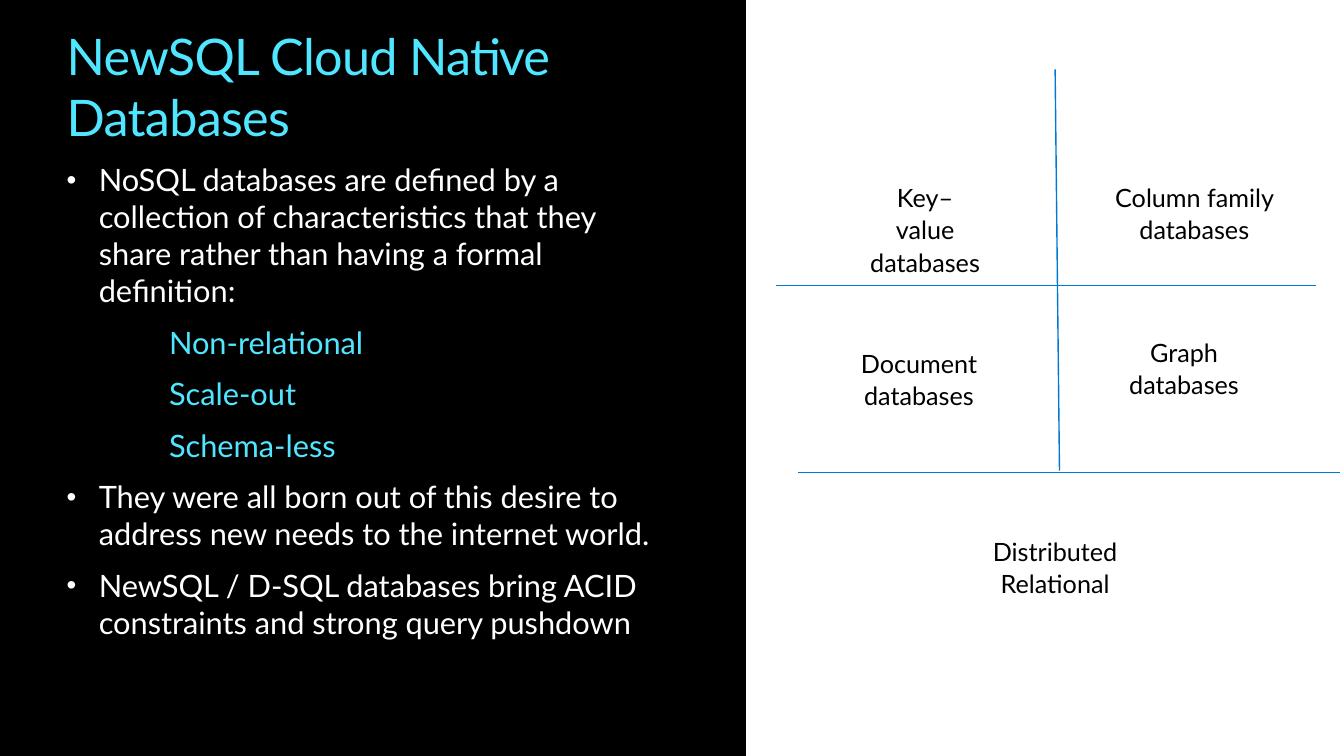
"""Build the NewSQL slide: points on the left, database quadrants on the right."""
from lxml import etree
from pptx import Presentation
from pptx import util as u
from pptx.dml.color import RGBColor
from pptx.enum import shapes, text
from pptx.oxml import ns

BLACK = RGBColor(0x00, 0x00, 0x00)
WHITE = RGBColor(0xFF, 0xFF, 0xFF)
CYAN = RGBColor(0x50, 0xE6, 0xFF)
BLUE = RGBColor(0x00, 0x78, 0xD4)
FONT = "Lato"

POINTS = [
    ("NoSQL databases are defined by a collection of characteristics that "
     "they share rather than having a formal definition:", True),
    ("Non-relational", False),
    ("Scale-out", False),
    ("Schema-less", False),
    ("They were all born out of this desire to address new needs to the "
     "internet world.", True),
    ("NewSQL / D-SQL databases bring ACID constraints and strong query "
     "pushdown", True),
]
LABELS = [
    ("Key–value databases", 21.64, 4.42, 3.35),
    ("Column family databases", 27.74, 4.42, 4.72),
    ("Document databases", 20.8, 8.59, 4.72),
    ("Graph databases", 27.48, 8.31, 4.72),
    ("Distributed Relational", 24.23, 13.34, 4.72),
]
LINES = [
    (26.59, 1.75, 26.7, 11.86),
    (33.17, 7.19, 19.56, 7.19),
    (33.76, 11.91, 20.12, 11.91),
]


def style(par, size, color):
    """Format every run of a paragraph."""
    for run in par.runs:
        run.font.name = FONT
        run.font.size = u.Pt(size)
        run.font.color.rgb = color


def place(shape, left, top, width, height):
    """Move a placeholder and fit its frame to the text."""
    shape.left, shape.top = u.Cm(left), u.Cm(top)
    shape.width, shape.height = u.Cm(width), u.Cm(height)
    frame = shape.text_frame
    frame.margin_left = frame.margin_right = 0
    frame.margin_top = frame.margin_bottom = 0
    frame.vertical_anchor = text.MSO_ANCHOR.TOP
    frame.word_wrap = True
    frame.auto_size = text.MSO_AUTO_SIZE.SHAPE_TO_FIT_TEXT
    return frame


def indent(par, left, first, mark):
    """Set the indent of a paragraph and its bullet, if any."""
    props = par._p.get_or_add_pPr()
    props.set("marL", str(u.Cm(left)))
    props.set("indent", str(u.Cm(first)))
    if mark:
        etree.SubElement(props, ns.qn("a:buSzPct")).set("val", "90000")
        etree.SubElement(props, ns.qn("a:buFont")).set("typeface", "Arial")
        etree.SubElement(props, ns.qn("a:buChar")).set("char", mark)
    else:
        etree.SubElement(props, ns.qn("a:buNone"))


def add_panel(slide):
    """Put the black panel behind the title."""
    panel = slide.shapes.add_shape(
        shapes.MSO_SHAPE.RECTANGLE, 0, 0, u.Cm(18.8), u.Cm(19.05))
    panel.shadow.inherit = False
    panel.fill.solid()
    panel.fill.fore_color.rgb = BLACK
    panel.line.fill.background()
    slide.shapes.title.element.addprevious(panel.element)


def set_title(slide):
    """Fill the title placeholder."""
    frame = place(slide.shapes.title, 1.68, 0.64, 15.65, 3.07)
    frame.text = "NewSQL Cloud Native Databases"
    par = frame.paragraphs[0]
    par.alignment = text.PP_ALIGN.LEFT
    style(par, 36, CYAN)
    par.runs[0].font._element.set("spc", "-50")


def set_body(slide):
    """Fill the body placeholder with points and subpoints."""
    frame = place(slide.placeholders[1], 1.68, 4.06, 15.24, 11.4)
    frame.text = "\n".join(words for words, _ in POINTS)
    for row, (par, (_, main_point)) in enumerate(zip(frame.paragraphs, POINTS)):
        if main_point:
            indent(par, 0.81, -0.81, "•")
        else:
            indent(par, 2.58, 0, None)
        par.space_before = u.Pt(4.4 if row else 0)
        par.space_after = u.Pt(6)
        style(par, 22, WHITE if main_point else CYAN)


def add_line(slide, x1, y1, x2, y2):
    """Draw one thin blue divider."""
    line = slide.shapes.add_connector(
        shapes.MSO_CONNECTOR.STRAIGHT, u.Cm(x1), u.Cm(y1), u.Cm(x2), u.Cm(y2))
    line.line.color.rgb = BLUE
    line.line.width = u.Pt(1)
    etree.SubElement(line.element.spPr, ns.qn("a:effectLst"))


def add_label(slide, words, left, top, width):
    """Add one centred database label."""
    box = slide.shapes.add_textbox(
        u.Cm(left), u.Cm(top), u.Cm(width), u.Cm(1.9))
    frame = box.text_frame
    frame.word_wrap = True
    frame.auto_size = text.MSO_AUTO_SIZE.SHAPE_TO_FIT_TEXT
    frame.text = words
    par = frame.paragraphs[0]
    par.alignment = text.PP_ALIGN.CENTER
    par.line_spacing = 1.07
    style(par, 18, BLACK)


def main():
    """Build and save the slide."""
    deck = Presentation()
    deck.slide_width, deck.slide_height = u.Cm(33.87), u.Cm(19.05)
    slide = deck.slides.add_slide(deck.slide_layouts[1])
    add_panel(slide)
    set_title(slide)
    set_body(slide)
    for ends in LINES:
        add_line(slide, *ends)
    for label in LABELS:
        add_label(slide, *label)
    deck.save("out.pptx")


if __name__ == "__main__":
    main()
